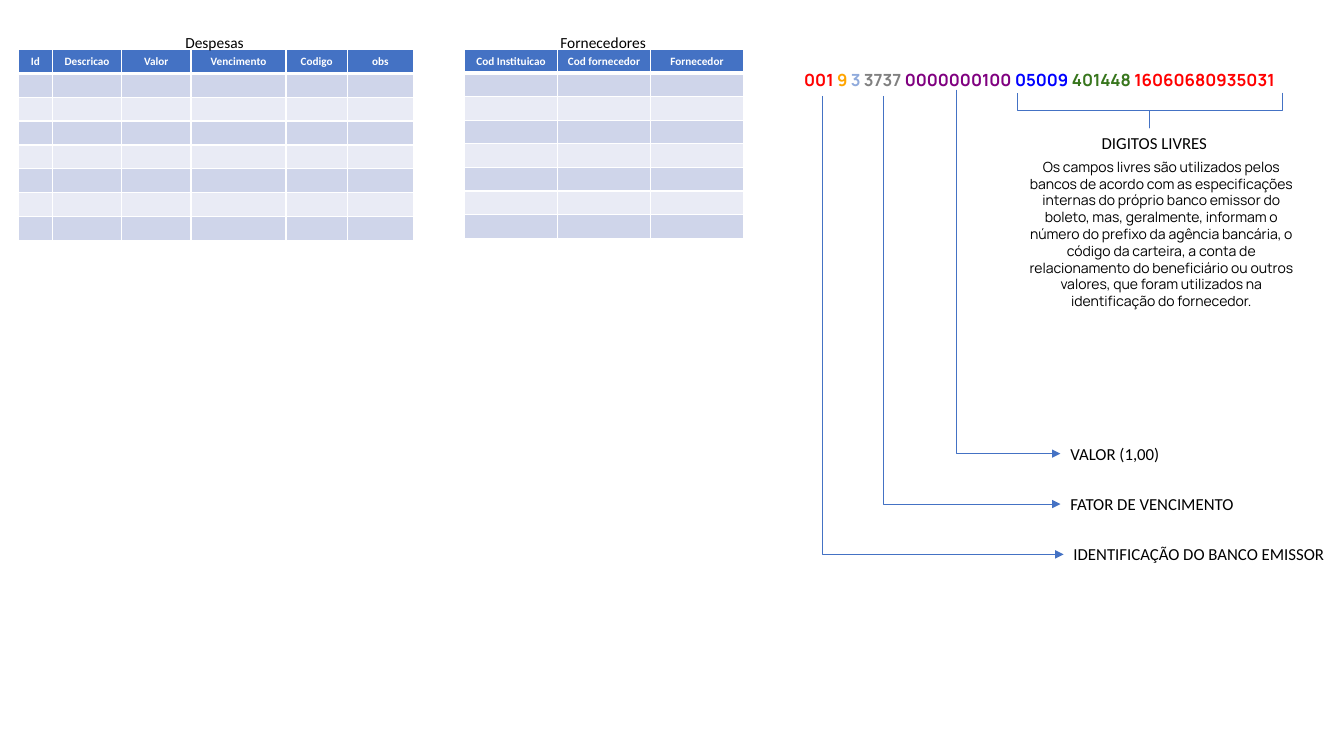
from lxml.etree import SubElement
from pptx import Presentation
from pptx.dml.color import RGBColor
from pptx.enum.shapes import MSO_CONNECTOR, MSO_SHAPE
from pptx.enum.text import MSO_ANCHOR, MSO_AUTO_SIZE, PP_ALIGN
from pptx.oxml import parse_xml
from pptx.oxml.ns import nsdecls, qn
from pptx.util import Inches, Pt

BLACK = RGBColor(0x00, 0x00, 0x00)
WHITE = RGBColor(0xFF, 0xFF, 0xFF)
ACCENT = RGBColor(0x44, 0x72, 0xC4)
BANDS = RGBColor(0xCF, 0xD5, 0xEA), RGBColor(0xE9, 0xEB, 0xF5)
RED = RGBColor(0xFF, 0x00, 0x00)
ORANGE = RGBColor(0xFF, 0xA5, 0x00)
SKY = RGBColor(0x8F, 0xAA, 0xDC)
GRAY = RGBColor(0x80, 0x80, 0x80)
PURPLE = RGBColor(0x80, 0x00, 0x80)
BLUE = RGBColor(0x00, 0x00, 0xFF)
GREEN = RGBColor(0x38, 0x76, 0x1D)


class Board:
    """Draws on one slide; all lengths are percents of its width or height."""

    body = "Calibri"
    accent = "Manrope"
    thin = Pt(0.5)

    def __init__(self, deck):
        self.deck = deck
        self.slide = deck.slides.add_slide(deck.slide_layouts[6])
        self.shapes = self.slide.shapes

    def col(self, share):
        return round(self.deck.slide_width * share / 100)

    def row(self, share):
        return round(self.deck.slide_height * share / 100)

    def area(self, left, top, width, height):
        return self.col(left), self.row(top), self.col(width), self.row(height)

    def text(self, box, runs, size=12, font=body, bold=False, align=PP_ALIGN.LEFT, wrap=True):
        frame = self.shapes.add_textbox(*self.area(*box)).text_frame
        frame.word_wrap = wrap
        frame.auto_size = MSO_AUTO_SIZE.SHAPE_TO_FIT_TEXT
        para = frame.paragraphs[0]
        para.alignment = align
        para.font.name, para.font.size, para.font.bold = font, Pt(size), bold
        for words, color in runs:
            run = para.add_run()
            run.text = words
            run.font.color.rgb = color

    def edge(self, cell, low):
        props = cell._tc.get_or_add_tcPr()
        for spot, side in enumerate("LRTB"):
            width = Pt(low if side == "B" else 1)
            props.insert(spot, parse_xml(
                f'<a:ln{side} {nsdecls("a")} w="{width}"><a:solidFill>'
                f'<a:srgbClr val="{WHITE}"/></a:solidFill></a:ln{side}>'))

    def table(self, left, top, heads, widths, height, count=8):
        box = self.area(left, top, sum(widths), height * count)
        grid = self.shapes.add_table(count, len(heads), *box).table
        for col, width in zip(grid.columns, widths):
            col.width = self.col(width)
        for num, row in enumerate(grid.rows):
            row.height = self.row(height)
            for cell, head in zip(row.cells, heads):
                cell.margin_left = cell.margin_right = Inches(0.05)
                cell.margin_top = cell.margin_bottom = Inches(0.02)
                cell.vertical_anchor = MSO_ANCHOR.MIDDLE
                cell.fill.solid()
                cell.fill.fore_color.rgb = BANDS[(num - 1) % 2] if num else ACCENT
                self.edge(cell, 1 if num else 3)
                para = cell.text_frame.paragraphs[0]
                if num == 0:
                    para.text = head
                    para.alignment = PP_ALIGN.CENTER
                    para.font.bold = True
                    para.font.color.rgb = WHITE
                    para.font.name = self.body
                    para.font.size = Pt(8)
                else:
                    # Empty cells need a small end mark to keep the row low
                    SubElement(para._p, qn("a:endParaRPr")).set("sz", "800")

    def arrow(self, left, top, right, low):
        """Runs down, then right: a two-part elbow turned by 270 degrees."""
        x, y, wide, tall = self.area(left, top, right - left, low - top)
        x, y = x + (wide - tall) // 2, y + (tall - wide) // 2
        link = self.shapes.add_connector(MSO_CONNECTOR.ELBOW, x, y, x + tall, y + wide)
        link.line.color.rgb = ACCENT
        link.line.width = self.thin
        props = link._element.spPr
        props.find(qn("a:prstGeom")).set("prst", "bentConnector2")
        frame = props.find(qn("a:xfrm"))
        frame.set("rot", "16200000")
        frame.set("flipH", "1")
        SubElement(props.find(qn("a:ln")), qn("a:tailEnd")).set("type", "triangle")
        SubElement(props, qn("a:effectLst"))

    def brace(self, box):
        brace = self.shapes.add_shape(MSO_SHAPE.RIGHT_BRACE, *self.area(*box))
        brace.shadow.inherit = False
        brace.rotation = 90
        brace.adjustments[0], brace.adjustments[1] = 0, 0.5
        brace.fill.background()
        brace.line.color.rgb = ACCENT
        brace.line.width = self.thin


def main():
    deck = Presentation()
    deck.slide_width, deck.slide_height = Inches(13.33), Inches(7.5)
    board = Board(deck)

    # Tables and their titles
    board.table(1.35, 6.55, ["Id", "Descricao", "Valor", "Vencimento", "Codigo", "obs"],
                [2.57, 5.13, 5.16, 7.08, 4.57, 4.9], 3.16)
    board.table(34.57, 6.55, ["Cod Instituicao", "Cod fornecedor", "Fornecedor"],
                [6.92] * 3, 3.12)
    board.text((13.05, 3.73, 5.85, 2.93), [("Despesas", BLACK)], size=11, wrap=False)
    board.text((40.95, 3.73, 7.95, 3.87), [("Fornecedores", BLACK)], size=11)

    # Payment slip code, one color per field
    board.text((59.1, 8.53, 39.53, 4), [
        ("001 ", RED), ("9 ", ORANGE), ("3 ", SKY), ("3737", GRAY),
        (" 0000000100 ", PURPLE), ("05009 ", BLUE), ("401448 ", GREEN),
        ("16060680935031", RED)], font=board.accent, bold=True)

    # Arrows from the code to the field names
    for left, top, right, low, name in (
            (61.2, 12.67, 79.13, 73.33, "IDENTIFICAÇÃO DO BANCO EMISSOR"),
            (65.7, 12.67, 78.9, 66.67, "FATOR DE VENCIMENTO"),
            (71.18, 11.87, 78.9, 60, "VALOR (1,00)")):
        board.arrow(left, top, right, low)
        board.text((right, low - 2, 20.93, 4), [(name, BLACK)])

    # Free digits
    board.text((81.23, 16.93, 10.43, 4), [("DIGITOS LIVRES", BLACK)], wrap=False)
    board.brace((84.23, -2.93, 2.63, 35.07))
    board.text((75.3, 20.27, 22.2, 23.73), [(
        "Os campos livres são utilizados pelos bancos de acordo com as especificações "
        "internas do próprio banco emissor do boleto, mas, geralmente, informam o número "
        "do prefixo da agência bancária, o código da carteira, a conta de relacionamento "
        "do beneficiário ou outros valores, que foram utilizados na identificação do "
        "fornecedor.", BLACK)], size=10, font=board.accent, align=PP_ALIGN.CENTER)

    deck.save("out.pptx")


if __name__ == "__main__":
    main()
